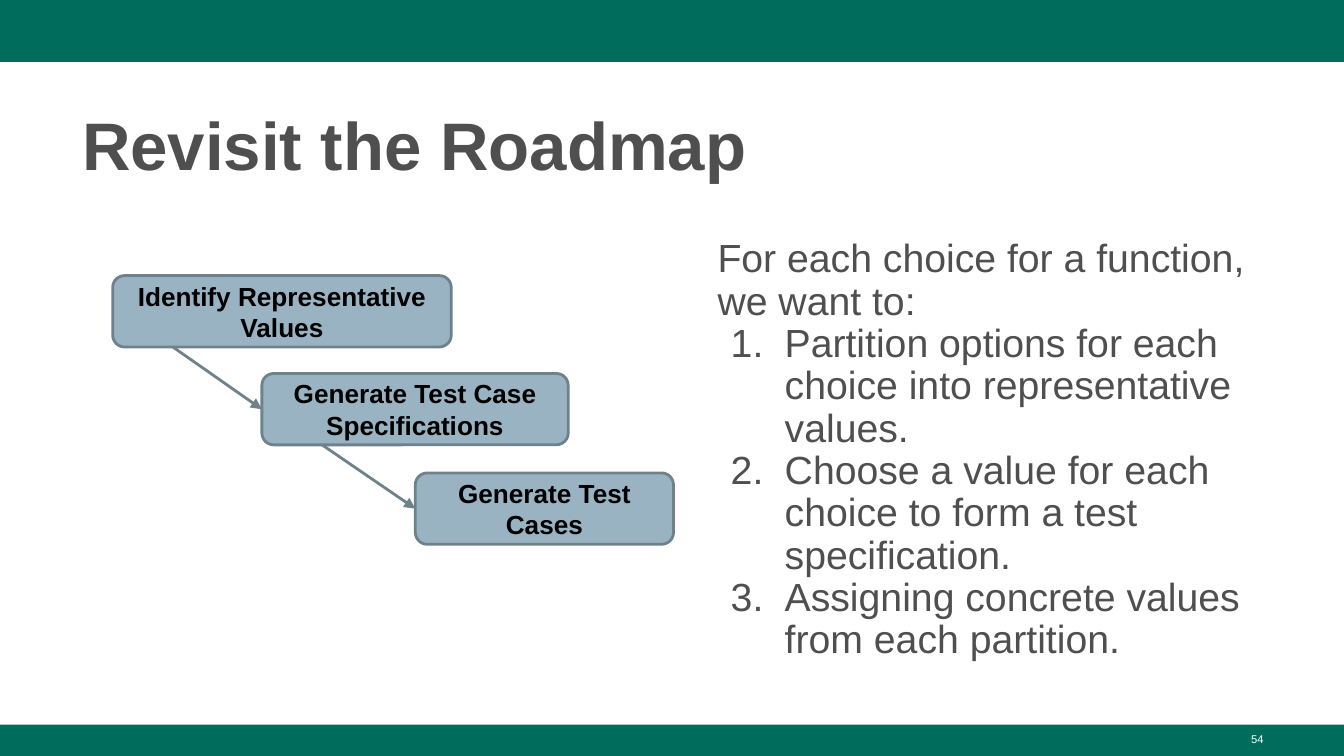
import pptx
import pptx.util
import pptx.dml.color
import pptx.enum.shapes
import pptx.enum.text
import pptx.oxml.ns
from lxml import etree

Cm, Pt = pptx.util.Cm, pptx.util.Pt
Kind = pptx.enum.shapes.MSO_SHAPE
Align = pptx.enum.text.PP_ALIGN
Anchor = pptx.enum.text.MSO_ANCHOR

COLORS = {
    "green": "006C5C",
    "gray": "4F4F4F",
    "blue": "99B3C2",
    "edge": "6F828C",
    "black": "000000",
    "white": "FFFFFF",
}
WIDE, HIGH = 25.4, 14.29

# Step label, then left, top and width within the roadmap
STEPS = [
    ("Identify Representative Values", 0, 0, 6.4),
    ("Generate Test Case Specifications", 2.82, 1.85, 5.79),
    ("Generate Test Cases", 5.72, 3.73, 4.88),
]
INTRO = "For each choice for a function, we want to:"
TASKS = [
    "Partition options for each choice into representative values.",
    "Choose a value for each choice to form a test specification.",
    "Assigning concrete values from each partition.",
]


def color(name):
    return pptx.dml.color.RGBColor.from_string(COLORS[name])


def add_tag(node, name, **attrs):
    return etree.SubElement(node, pptx.oxml.ns.qn(name), **attrs)


def place(shape, box):
    shape.left, shape.top, shape.width, shape.height = (Cm(n) for n in box)


def set_frame(shape, anchor, inset):
    frame = shape.text_frame
    frame.word_wrap = True
    frame.auto_size = pptx.enum.text.MSO_AUTO_SIZE.NONE
    frame.vertical_anchor = anchor
    frame.margin_left = frame.margin_right = Cm(0.25)
    frame.margin_top = frame.margin_bottom = Cm(inset)
    return frame


def add_run(para, text, size, tint, bold=False):
    run = para.add_run()
    run.text = text
    run.font.name = "Arial"
    run.font.size = Pt(size)
    run.font.bold = bold
    run.font.color.rgb = color(tint)


def add_block(slide, kind, box, fill, edge=None):
    shape = slide.shapes.add_shape(kind, *(Cm(n) for n in box))
    shape.shadow.inherit = False
    shape.fill.solid()
    shape.fill.fore_color.rgb = color(fill)
    if edge:
        shape.line.color.rgb = color(edge)
        shape.line.width = Pt(1.5)
    else:
        shape.line.fill.background()
    return shape


def add_title(slide, box):
    title = slide.shapes.title
    place(title, box)
    para = set_frame(title, Anchor.TOP, 0.13).paragraphs[0]
    para.alignment = Align.LEFT
    para.line_spacing = 1.08
    add_run(para, "Revisit the Roadmap", 36, "gray", True)


def add_arrow(slide, start, goal):
    x, y = (Cm(n) for n in start)
    line = slide.shapes.add_connector(
        pptx.enum.shapes.MSO_CONNECTOR.STRAIGHT, x, y, x, y)
    line.end_connect(goal, 1)  # middle of the left side
    line.line.color.rgb = color("edge")
    line.line.width = Pt(1.5)
    add_tag(line.line._get_or_add_ln(), "a:tailEnd", type="triangle")
    add_tag(line._element.spPr, "a:effectLst")


def add_map(slide, box):
    left, top = box
    high = 1.35
    start = None
    for text, x, y, wide in STEPS:
        x, y = left + x, top + y
        step = add_block(slide, Kind.ROUNDED_RECTANGLE,
                         (x, y, wide, high), "blue", "edge")
        para = set_frame(step, Anchor.MIDDLE, 0.25).paragraphs[0]
        para.alignment = Align.CENTER
        add_run(para, text, 14, "black", True)
        if start:
            add_arrow(slide, start, step)
        start = (x + 1.14, y + high)


def set_mark(para, indent, hang):
    """Number the paragraph, or leave it plain when there is no indent."""
    props = para._p.get_or_add_pPr()
    props.set("marL", str(Cm(indent)))
    props.set("indent", str(-Cm(hang)))
    if indent:
        tint = add_tag(props, "a:buClr")
        add_tag(tint, "a:srgbClr", val=COLORS["gray"])
        add_tag(props, "a:buFont", typeface="Arial")
        add_tag(props, "a:buAutoNum", type="arabicPeriod")
    else:
        add_tag(props, "a:buNone")


def add_list(slide, box):
    body = slide.placeholders[1]
    place(body, box)
    frame = set_frame(body, Anchor.MIDDLE, 0.25)
    for i, text in enumerate([INTRO] + TASKS):
        para = frame.add_paragraph() if i else frame.paragraphs[0]
        para.alignment = Align.LEFT
        para.line_spacing = 0.9
        para.space_before = para.space_after = Pt(0)
        set_mark(para, 1.27 if i else 0, 1.02 if i else 0)
        add_run(para, text, 21, "gray")


def add_number(slide, box):
    label = slide.shapes.add_textbox(*(Cm(n) for n in box))
    para = set_frame(label, Anchor.TOP, 0.13).paragraphs[0]
    para.alignment = Align.RIGHT
    add_run(para, "54", 6, "white")


def main():
    deck = pptx.Presentation()
    deck.slide_width, deck.slide_height = Cm(WIDE), Cm(HIGH)
    slide = deck.slides.add_slide(deck.slide_layouts[1])

    # Bands at the top and bottom edges
    add_block(slide, Kind.RECTANGLE, (0, 0, WIDE, 1.17), "green")
    add_block(slide, Kind.RECTANGLE, (0, HIGH - 0.59, WIDE, 0.59), "green")

    # Title, roadmap and list
    add_title(slide, (1.3, 1.7, 22.83, 1.85))
    add_map(slide, (2.13, 5.21))
    add_list(slide, (13.31, 3.35, 11.1, 10.34))

    # Page number
    add_number(slide, (18.21, 13.72, 5.92, 0.57))
    deck.save("out.pptx")


if __name__ == "__main__":
    main()
